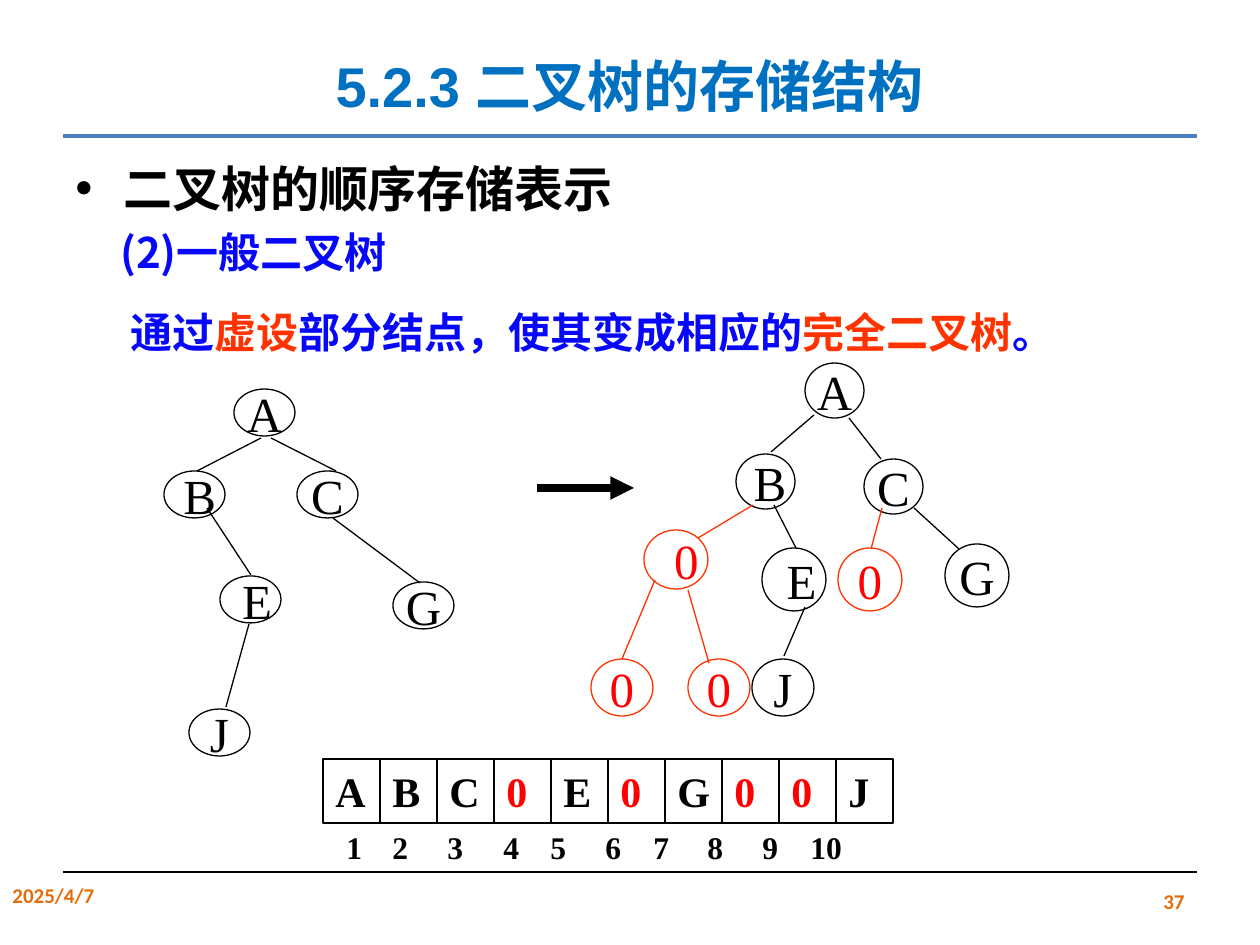
from lxml.etree import SubElement
from pptx import Presentation
from pptx.dml.color import RGBColor
from pptx.enum.shapes import MSO_CONNECTOR as Connector, MSO_SHAPE as Shape
from pptx.enum.text import MSO_ANCHOR as Anchor, PP_ALIGN as Align
from pptx.oxml.ns import qn
from pptx.util import Emu, Pt

BLACK = RGBColor(0x00, 0x00, 0x00)
RED = RGBColor(0xFF, 0x00, 0x00)
VERMILION = RGBColor(0xFF, 0x33, 0x00)
BLUE = RGBColor(0x07, 0x07, 0xF9)
TITLE_BLUE = RGBColor(0x00, 0x70, 0xC0)
RULE_BLUE = RGBColor(0x4B, 0x7E, 0xBC)
ORANGE = RGBColor(0xE4, 0x6C, 0x0A)

SANS, SERIF, CJK = "Calibri", "Times New Roman", "Noto Sans CJK SC"
CELLS = "ABC0E0G00J"
CELL_LEFT, CELL_TOP, CELL_WIDTH, CELL_HEIGHT = 323, 759, 57, 64
INDEX_TABS = (46, 101, 157, 204, 259, 307, 361, 416, 464)

SPARSE_NODES = [
    ("A", 234, 389, 61, 47, Align.CENTER),
    ("B", 164, 471, 61, 47, Align.RIGHT),
    ("C", 297, 471, 61, 47, Align.CENTER),
    ("E", 220, 576, 61, 47, Align.RIGHT),
    ("G", 393, 582, 61, 47, Align.CENTER),
    ("J", 189, 709, 61, 47, Align.CENTER),
]
SPARSE_EDGES = [
    (261, 438, 197, 471, BLACK),
    (271, 438, 336, 471, BLACK),
    (207, 508, 251, 575, BLACK),
    (333, 518, 420, 583, BLACK),
    (249, 624, 226, 707, BLACK),
]
COMPLETE_NODES = [
    ("A", 805, 363, 59, 55, Align.CENTER),
    ("B", 736, 454, 59, 55, Align.RIGHT),
    ("C", 864, 459, 59, 55, Align.CENTER),
    ("0", 644, 530, 64, 59, Align.RIGHT),
    ("E", 762, 548, 64, 63, Align.RIGHT),
    ("0", 838, 548, 64, 63, Align.CENTER),
    ("G", 945, 544, 64, 63, Align.CENTER),
    ("0", 688, 659, 62, 57, Align.CENTER),
    ("0", 591, 659, 62, 57, Align.CENTER),
    ("J", 752, 659, 62, 57, Align.CENTER),
]
COMPLETE_EDGES = [
    (814, 415, 771, 452, BLACK),
    (849, 418, 881, 459, BLACK),
    (753, 505, 698, 538, VERMILION),
    (774, 505, 796, 548, BLACK),
    (882, 508, 871, 549, VERMILION),
    (914, 508, 959, 549, BLACK),
    (655, 580, 622, 659, VERMILION),
    (688, 590, 709, 663, VERMILION),
    (805, 607, 784, 656, BLACK),
]


def px(length):
    return Emu(round(length * 914400 / 126))


def add_run(paragraph, text, size, font_name, color, bold=True):
    run = paragraph.add_run()
    run.text = text
    font = run.font
    font.size, font.name, font.bold = Pt(size), font_name, bold
    font.color.rgb = color
    SubElement(run._r.get_or_add_rPr(), qn("a:ea"), typeface=CJK)


def add_text(slide, box, runs, size, font_name, align=Align.LEFT,
             anchor=Anchor.TOP, wrap=True):
    frame = slide.shapes.add_textbox(*map(px, box)).text_frame
    frame.word_wrap = wrap
    frame.vertical_anchor = anchor
    paragraph = frame.paragraphs[0]
    paragraph.alignment = align
    for text, color in runs:
        add_run(paragraph, text, size, font_name, color)
    return paragraph


def add_line(slide, start_x, start_y, end_x, end_y, color, width=0.75):
    line = slide.shapes.add_connector(
        Connector.STRAIGHT, *map(px, (start_x, start_y, end_x, end_y)))
    line.line.color.rgb = color
    line.line.width = Pt(width)
    SubElement(line._element.spPr, qn("a:effectLst"))
    return line


def add_outline(slide, kind, box, color):
    shape = slide.shapes.add_shape(kind, *map(px, box))
    shape.shadow.inherit = False
    shape.fill.background()
    shape.line.color.rgb = color
    shape.line.width = Pt(0.75)
    return shape


def add_node(slide, label, left, top, width, height, align):
    virtual = label == "0"
    shape = add_outline(slide, Shape.OVAL, (left, top, width, height),
                        VERMILION if virtual else BLACK)
    frame = shape.text_frame
    frame.margin_left = frame.margin_right = 0
    frame.margin_top = frame.margin_bottom = 0
    frame.vertical_anchor = Anchor.MIDDLE
    paragraph = frame.paragraphs[0]
    paragraph.alignment = align
    add_run(paragraph, label, 28, SERIF, RED if virtual else BLACK, bold=False)


def add_tree(slide, nodes, edges):
    for node in nodes:
        add_node(slide, *node)
    for edge in edges:
        add_line(slide, *edge)


def add_array(slide):
    for index, label in enumerate(CELLS):
        box = (CELL_LEFT + index * CELL_WIDTH, CELL_TOP, CELL_WIDTH, CELL_HEIGHT)
        frame = add_outline(slide, Shape.RECTANGLE, box, BLACK).text_frame
        frame.vertical_anchor = Anchor.TOP
        paragraph = frame.paragraphs[0]
        paragraph.alignment = Align.LEFT
        add_run(paragraph, label, 24, SERIF, RED if label == "0" else BLACK)
    numbers = "\t".join(str(number + 1) for number in range(len(CELLS)))
    paragraph = add_text(slide, (334, 822, 540, 50), [(numbers, BLACK)], 18, SERIF)
    tabs = SubElement(paragraph._p.get_or_add_pPr(), qn("a:tabLst"))
    for position in INDEX_TABS:
        SubElement(tabs, qn("a:tab"), pos=str(px(position)), algn="l")


def add_bullet(paragraph, indent):
    properties = paragraph._p.get_or_add_pPr()
    properties.set("marL", str(px(indent)))
    properties.set("indent", str(-px(indent)))
    SubElement(properties, qn("a:buFont"), typeface="Arial")
    SubElement(properties, qn("a:buChar"), char="•")


def add_headings(slide):
    title = add_text(slide, (63, 0, 1134, 137), [("5.2.3 二叉树的存储结构", TITLE_BLUE)],
                     32, "Arial", Align.CENTER, Anchor.MIDDLE)
    title.line_spacing = 1.5
    add_line(slide, 63, 136, 1197, 136, RULE_BLUE, 2.75)
    topic = add_text(slide, (63, 157, 1134, 66), [("二叉树的顺序存储表示", BLACK)], 28, SANS)
    topic.line_spacing = Pt(31)
    add_bullet(topic, 48)
    add_text(slide, (108, 220, 302, 64), [("(2)一般二叉树", BLUE)], 24, CJK, wrap=False)
    add_text(slide, (118, 300, 963, 64), [
        ("通过", BLUE),
        ("虚设", VERMILION),
        ("部分结点，使其变成相应的", BLUE),
        ("完全二叉树", VERMILION),
        ("。", BLUE),
    ], 24, CJK, wrap=False)


def add_footer(slide):
    add_line(slide, 63, 872, 1197, 872, BLACK)
    add_text(slide, (0, 876, 294, 50), [("2025/4/7", ORANGE)], 12, SANS)
    add_text(slide, (903, 876, 294, 50), [("37", ORANGE)], 12, SANS,
             Align.RIGHT, Anchor.MIDDLE)


def main():
    presentation = Presentation()
    presentation.slide_width, presentation.slide_height = px(1260), px(945)
    slide = presentation.slides.add_slide(presentation.slide_layouts[6])
    add_headings(slide)
    add_footer(slide)
    add_array(slide)
    add_tree(slide, SPARSE_NODES, SPARSE_EDGES)
    add_tree(slide, COMPLETE_NODES, COMPLETE_EDGES)
    arrow = add_line(slide, 537, 488, 634, 488, BLACK, 4.5)
    SubElement(arrow.line._get_or_add_ln(), qn("a:tailEnd"), type="triangle")
    presentation.save("out.pptx")


if __name__ == "__main__":
    main()
